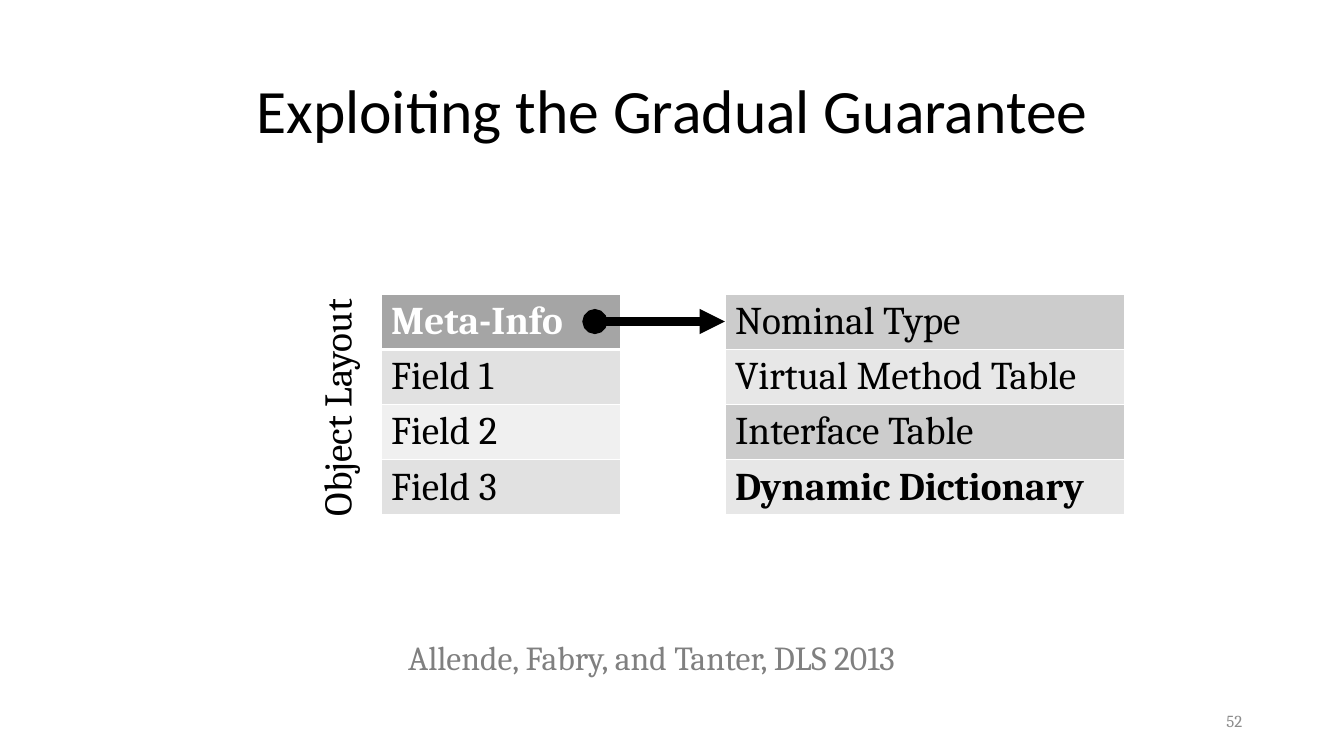
"""Build the slide on object layout and the gradual guarantee."""
from lxml import etree
from pptx import Presentation
from pptx.dml.color import RGBColor
from pptx.enum.shapes import MSO_CONNECTOR
from pptx.enum.text import MSO_ANCHOR, MSO_AUTO_SIZE, PP_ALIGN
from pptx.oxml import parse_xml
from pptx.oxml.ns import nsdecls, qn
from pptx.util import Inches, Pt

LEFT, MID, RIGHT = PP_ALIGN.LEFT, PP_ALIGN.CENTER, PP_ALIGN.RIGHT
TOP, CENTER = MSO_ANCHOR.TOP, MSO_ANCHOR.MIDDLE
NONE, GROW = MSO_AUTO_SIZE.NONE, MSO_AUTO_SIZE.SHAPE_TO_FIT_TEXT
STRAIGHT = MSO_CONNECTOR.STRAIGHT
COLORS = {
    "black": "000000", "white": "FFFFFF", "number": "8C8C8C", "cite": "808080",
    "head": "A5A5A5", "odd": "E1E1E1", "even": "F0F0F0",
    "dark": "CCCCCC", "light": "E7E7E7",
}


def style(para, size, color, face="Cambria", bold=False):
    """Set the font of a paragraph."""
    font = para.font
    font.name, font.size, font.bold = face, Pt(size), bold
    font.color.rgb = RGBColor.from_string(COLORS[color])


def label(text, box, size, color, align, anchor=TOP, fit=NONE, wrap=True, face="Cambria"):
    """Add a text box and return it."""
    shape = slide.shapes.add_textbox(*map(Inches, box))
    frame = shape.text_frame
    frame.text = text
    frame.word_wrap, frame.auto_size = wrap, fit
    frame.vertical_anchor = anchor
    para = frame.paragraphs[0]
    para.alignment = align
    style(para, size, color, face)
    return shape


deck = Presentation()
deck.slide_width, deck.slide_height = Inches(13.33), Inches(7.5)
slide = deck.slides.add_slide(deck.slide_layouts[6])

title = label("Exploiting the Gradual Guarantee", (0.92, 0.4, 11.5, 1.45),
              44, "black", MID, CENTER, face="Calibri")
title.text_frame.paragraphs[0].line_spacing = 0.9

ROW = 0.54
tables = [
    (7.19, 3.96, [
        ("Nominal Type", "dark", "black", False, 1),
        ("Virtual Method Table", "light", "black", False, 1),
        ("Interface Table", "dark", "black", False, 1),
        ("Dynamic Dictionary", "light", "black", True, 1),
    ]),
    (3.78, 2.38, [
        ("Meta-Info", "head", "white", True, 3),
        ("Field 1", "odd", "black", False, 1),
        ("Field 2", "even", "black", False, 1),
        ("Field 3", "odd", "black", False, 1),
    ]),
]
for left, width, rows in tables:
    grid = slide.shapes.add_table(len(rows), 1, Inches(left), Inches(2.92),
                                  Inches(width), Inches(ROW * len(rows))).table
    above = 1
    for i, (text, fill, color, bold, below) in enumerate(rows):
        cell = grid.cell(i, 0)
        cell.text = text
        cell.fill.solid()
        cell.fill.fore_color.rgb = RGBColor.from_string(COLORS[fill])
        style(cell.text_frame.paragraphs[0], 28, color, bold=bold)
        props = cell._tc.get_or_add_tcPr()
        for j, (side, weight) in enumerate(zip("LRTB", (1, 1, above, below))):
            props.insert(j, parse_xml(
                f'<a:ln{side} {nsdecls("a")} w="{Pt(weight)}"><a:solidFill>'
                f'<a:srgbClr val="{COLORS["white"]}"/></a:solidFill></a:ln{side}>'))
        above = below

arrow = slide.shapes.add_connector(STRAIGHT, Inches(5.9), Inches(3.19),
                                   Inches(7.19), Inches(3.19))
arrow.line.width = Pt(6)
arrow.line.color.rgb = RGBColor.from_string(COLORS["black"])
stroke = arrow.line._get_or_add_ln()
for end, kind in (("a:headEnd", "oval"), ("a:tailEnd", "triangle")):
    etree.SubElement(stroke, qn(end), type=kind)
etree.SubElement(arrow._element.spPr, qn("a:effectLst"))

side = label("Object Layout", (1.92, 3.76, 2.83, 0.57), 28, "black", MID, fit=GROW)
side.rotation = 270
label("Allende, Fabry, and Tanter, DLS 2013", (3.95, 6.27, 5.43, 0.5),
      24, "cite", LEFT, fit=GROW, wrap=False)
label("52", (9.42, 6.95, 3, 0.4), 12, "number", RIGHT, CENTER)

deck.save("out.pptx")
